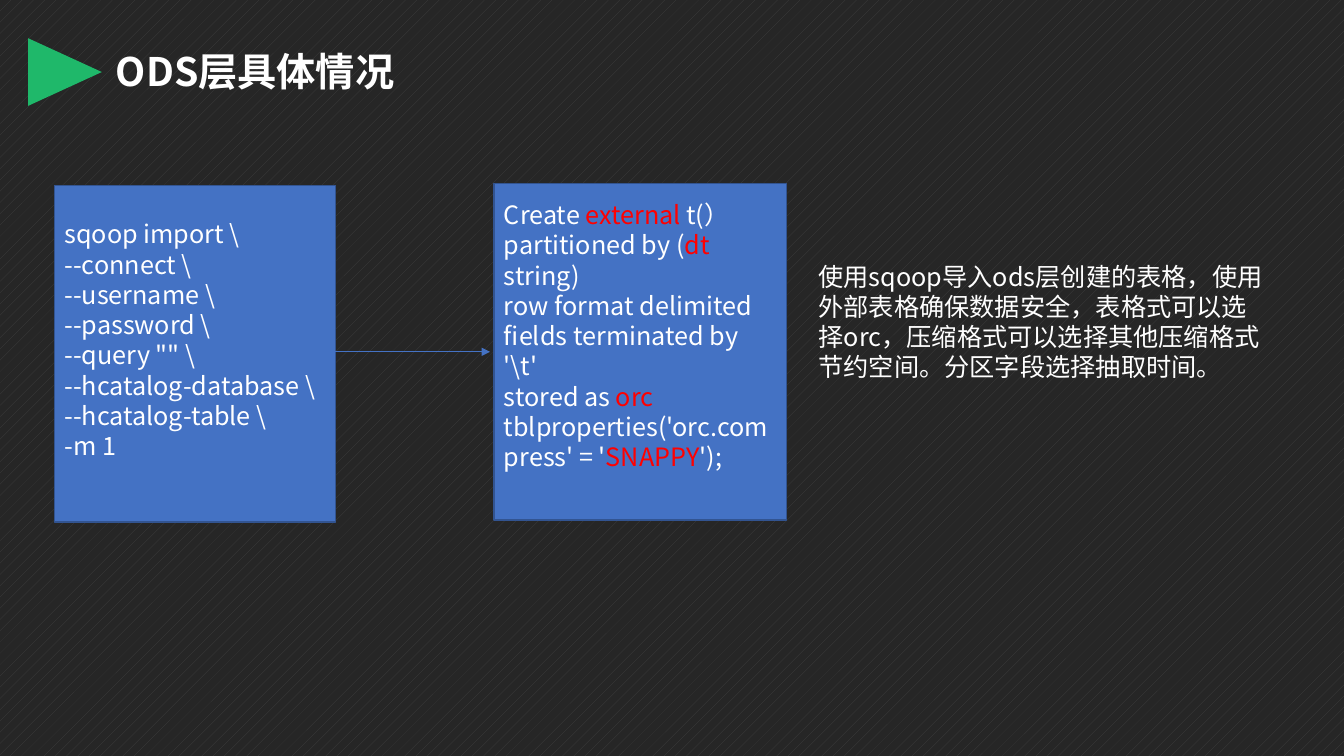
from lxml.etree import SubElement
from pptx import Presentation
from pptx.dml.color import RGBColor
from pptx.enum.dml import MSO_PATTERN
from pptx.enum.shapes import MSO_CONNECTOR, MSO_SHAPE
from pptx.enum.text import MSO_ANCHOR, PP_ALIGN
from pptx.oxml.ns import qn
from pptx.util import Inches, Pt

FONT = "Noto Sans CJK SC"
WHITE = RGBColor(0xFF, 0xFF, 0xFF)
RED = RGBColor(0xFF, 0x00, 0x00)
BLUE = RGBColor(0x44, 0x72, 0xC4)
BORDER = RGBColor(0x32, 0x54, 0x91)
GREEN = RGBColor(0x1F, 0xB8, 0x6A)
DARK = RGBColor(0x26, 0x26, 0x26)
STRIPE = RGBColor(0x40, 0x40, 0x40)

IMPORT_COMMAND = [
    [("sqoop import \\", WHITE)],
    [("--connect \\", WHITE)],
    [("--username \\", WHITE)],
    [("--password \\", WHITE)],
    [('--query "" \\', WHITE)],
    [("--hcatalog-database \\", WHITE)],
    [("--hcatalog-table \\", WHITE)],
    [("-m 1", WHITE)],
]
CREATE_TABLE = [
    [("Create ", WHITE), ("external", RED), (" t(）partitioned by (", WHITE),
     ("dt", RED), (" string)", WHITE)],
    [("row format delimited fields terminated by '\\t'", WHITE)],
    [("stored as ", WHITE), ("orc", RED)],
    [("tblproperties('orc.compress' = '", WHITE), ("SNAPPY", RED), ("');", WHITE)],
]
EXPLANATION = [
    [("使用sqoop导入ods层创建的表格，使用外部表格确保数据安全，表格式可以选择orc，"
      "压缩格式可以选择其他压缩格式节约空间。分区字段选择抽取时间。", WHITE)],
]


def format_paragraph(para, size, bold=False):
    para.alignment = PP_ALIGN.LEFT
    para.line_spacing = Pt(size * 1.2)
    font = para.font
    font.size, font.bold, font.name = Pt(size), bold, FONT
    font.color.rgb = WHITE
    defaults = para._p.pPr.find(qn("a:defRPr"))
    SubElement(defaults, qn("a:ea")).set("typeface", FONT)


def set_background(page):
    fill = page.background.fill
    fill.patterned()
    fill.pattern = MSO_PATTERN.PERCENT_10
    fill.fore_color.rgb = STRIPE
    fill.back_color.rgb = DARK


def set_title(page, text):
    title = page.shapes.title
    title.left, title.top = Inches(1.05), Inches(0.42)
    title.width, title.height = Inches(3.18), Inches(0.57)
    frame = title.text_frame
    frame.text = text
    frame.word_wrap = False
    frame.vertical_anchor = MSO_ANCHOR.MIDDLE
    format_paragraph(frame.paragraphs[0], 28, bold=True)


def add_marker(page):
    marker = page.shapes.add_shape(
        MSO_SHAPE.ISOSCELES_TRIANGLE, Inches(0.31), Inches(0.35), Inches(0.67), Inches(0.73))
    marker.rotation = 90
    marker.shadow.inherit = False
    marker.fill.solid()
    marker.fill.fore_color.rgb = GREEN
    marker.line.fill.background()


def add_panel(page, left, top, width, height):
    panel = page.shapes.add_shape(
        MSO_SHAPE.RECTANGLE, Inches(left), Inches(top), Inches(width), Inches(height))
    panel.shadow.inherit = False
    panel.fill.solid()
    panel.fill.fore_color.rgb = BLUE
    panel.line.color.rgb = BORDER
    panel.line.width = Pt(1)


def add_text(page, left, top, width, height, lines):
    box = page.shapes.add_textbox(Inches(left), Inches(top), Inches(width), Inches(height))
    frame = box.text_frame
    frame.word_wrap = True
    for index, line in enumerate(lines):
        para = frame.add_paragraph() if index else frame.paragraphs[0]
        format_paragraph(para, 18)
        for text, color in line:
            span = para.add_run()
            span.text = text
            if color != WHITE:
                span.font.color.rgb = color


def add_arrow(page, start, end, y):
    arrow = page.shapes.add_connector(
        MSO_CONNECTOR.STRAIGHT, Inches(start), Inches(y), Inches(end), Inches(y))
    arrow.line.color.rgb = BLUE
    arrow.line.width = Pt(0.5)
    SubElement(arrow.line._get_or_add_ln(), qn("a:tailEnd")).set("type", "triangle")
    SubElement(arrow._element.spPr, qn("a:effectLst"))


def main():
    deck = Presentation()
    deck.slide_width, deck.slide_height = Inches(13.33), Inches(7.5)
    page = deck.slides.add_slide(deck.slide_layouts[5])
    set_background(page)
    add_panel(page, 4.9, 1.82, 2.9, 3.34)
    add_panel(page, 0.54, 1.84, 2.79, 3.34)
    add_marker(page)
    set_title(page, "ODS层具体情况")
    add_text(page, 0.54, 2.12, 4.06, 2.52, IMPORT_COMMAND)
    add_arrow(page, 2.99, 4.86, 3.49)
    add_text(page, 4.9, 1.93, 2.9, 2.83, CREATE_TABLE)
    add_text(page, 8.02, 2.54, 4.65, 1.31, EXPLANATION)
    deck.save("out.pptx")


if __name__ == "__main__":
    main()
